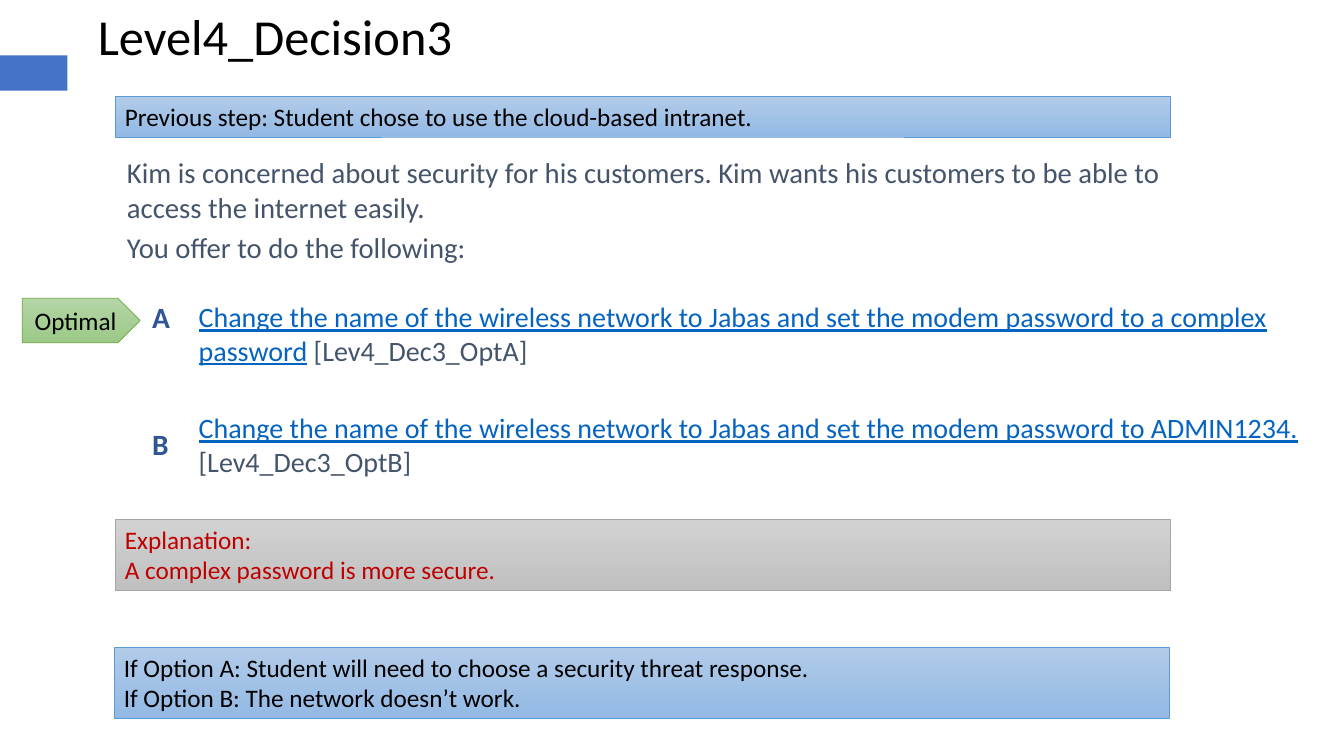
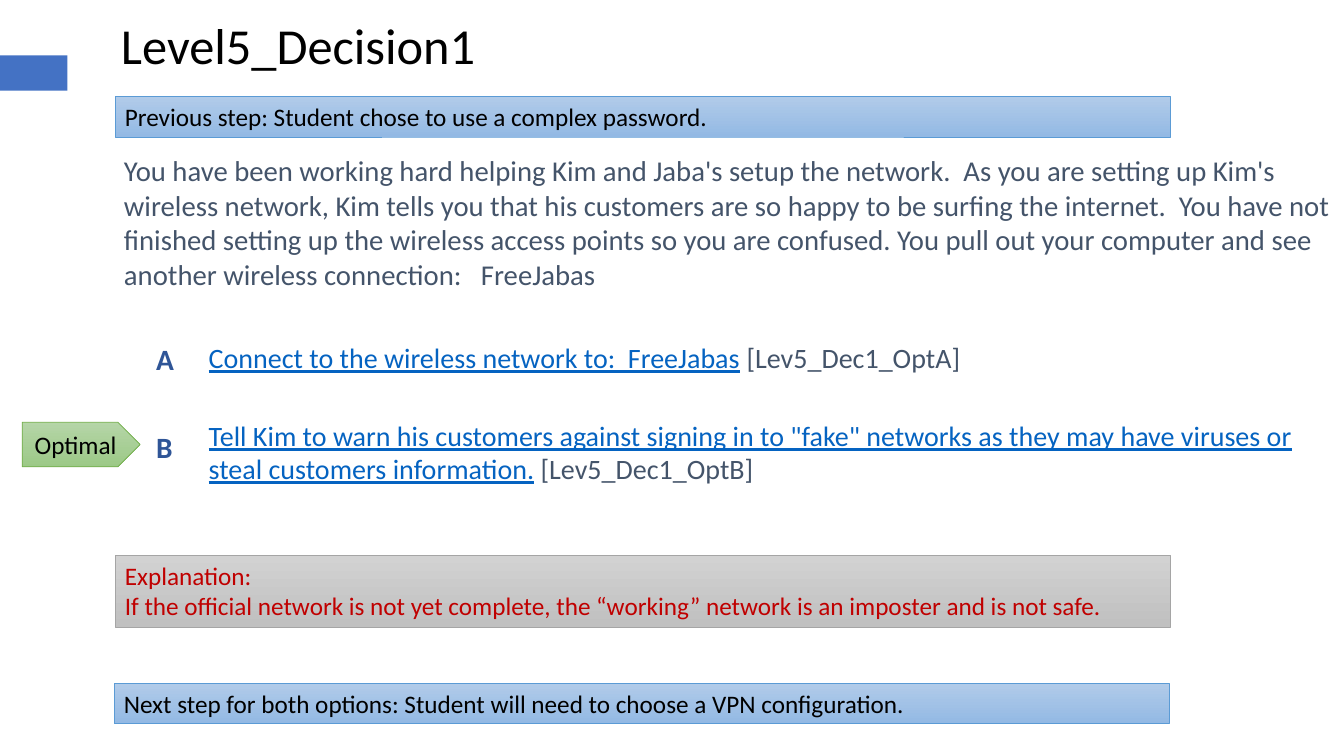
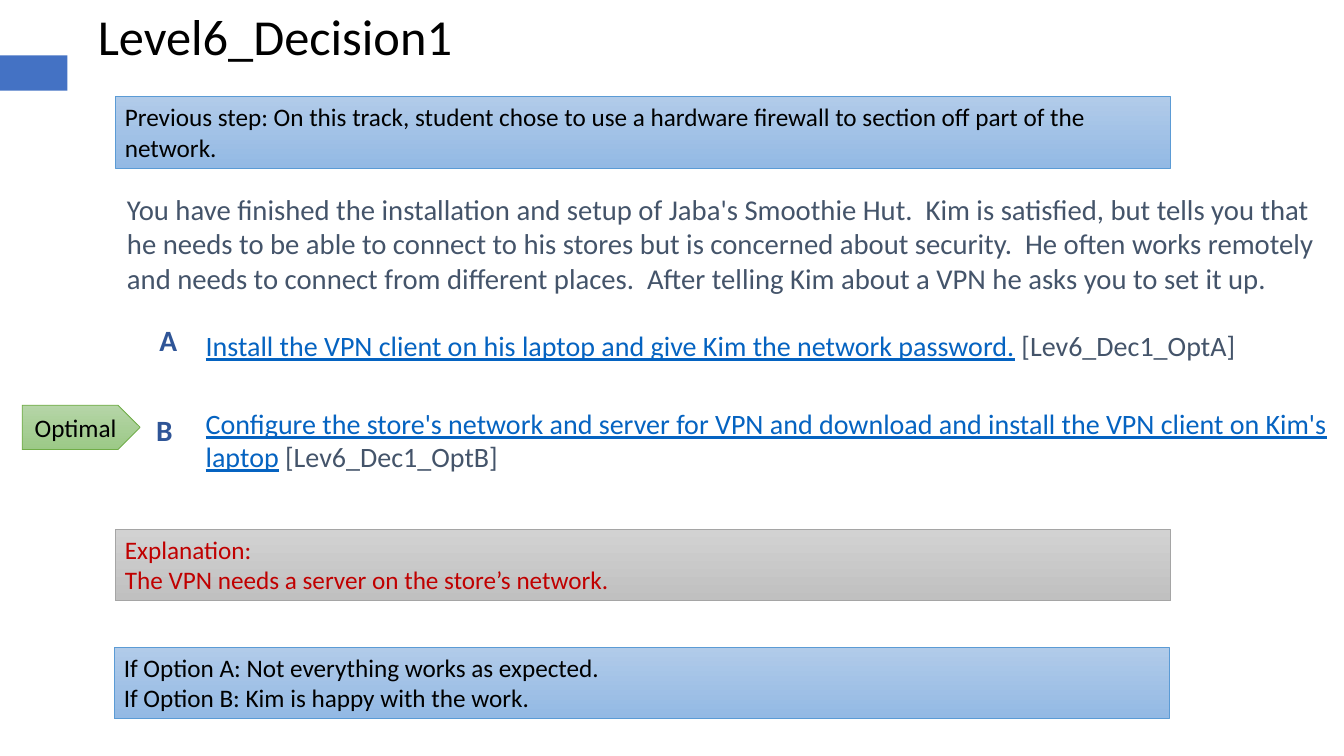
from pptx import Presentation
from pptx import util as u
from pptx.dml.color import RGBColor
from pptx.enum import shapes, text

FONT = "Calibri"
BLACK, SLATE, LINK = "000000", "44546A", "0563C1"
LETTER, RED, ACCENT = "2F5597", "C00000", "4472C4"
# Gradient top, gradient bottom, outline
BLUE_STYLE = ("B1CBE9", "93B9E4", "5B9BD5")
GRAY_STYLE = ("D2D2D2", "C0C0C0", "A5A5A5")
GREEN_STYLE = ("B5D5A7", "9CC987", "70AD47")
WIDE_INSETS = (0.13, 0.07)
BAR_INSETS = (0.1, 0.05)

decisions = [
    {
        "title": ("Level4_Decision3", 0.87, 0, 5.48),
        "previous": ("Previous step: Student chose to use the cloud-based intranet.", 0.4),
        "story": (1.13, 1.47, 10.94, 1.33),
        "story_lines": [
            "Kim is concerned about security for his customers. Kim wants his customers to be able to access the internet easily.",
            "You offer to do the following:",
        ],
        "options": (1.84, 2.9, 11.38, 2.15),
        "option_lines": [
            ("Change the name of the wireless network to Jabas and set the modem password to a complex password", " [Lev4_Dec3_OptA]"),
            ("Change the name of the wireless network to Jabas and set the modem password to ADMIN1234.", " [Lev4_Dec3_OptB]"),
        ],
        "letters": [("A", 1.38, 2.9), ("B", 1.38, 4.16)],
        "optimal_top": 2.96,
        "explanation": ("A complex password is more secure.", 5.15),
        "next_top": 6.42,
        "next_lines": [
            "If Option A: Student will need to choose a security threat response.",
            "If Option B: The network doesn’t work.",
        ],
    },
    {
        "title": ("Level5_Decision1", 1.1, 0.09, 3.8),
        "previous": ("Previous step: Student chose to use a complex password.", 0.4),
        "story": (1.1, 1.45, 12.24, 1.6),
        "story_lines": [
            "You have been working hard helping Kim and Jaba's setup the network.  As you are setting up Kim's "
            "wireless network, Kim tells you that his customers are so happy to be surfing the internet.  "
            "You have not finished setting up the wireless access points so you are confused. "
            "You pull out your computer and see another wireless connection:   FreeJabas",
        ],
        "options": (1.94, 3.31, 11.39, 2.2),
        "option_lines": [
            ("Connect to the wireless network to:  FreeJabas", " [Lev5_Dec1_OptA]"),
            ('Tell Kim to warn his customers against signing in to "fake" networks as they may have viruses or steal customers information.', " [Lev5_Dec1_OptB]"),
        ],
        "letters": [("A", 1.42, 3.31), ("B", 1.42, 4.19)],
        "optimal_top": 4.19,
        "explanation": ("If the official network is not yet complete, the “working” network is an imposter and is not safe.", 5.51),
        "next_top": 6.78,
        "next_lines": ["Next step for both options: Student will need to choose a VPN configuration."],
    },
    {
        "title": ("Level6_Decision1", 0.87, 0, 3.8),
        "previous": ("Previous step: On this track, student chose to use a hardware firewall to section off part of the network.", 0.71),
        "story": (1.13, 1.83, 12.2, 1.23),
        "story_lines": [
            "You have finished the installation and setup of Jaba's Smoothie Hut.  Kim is satisfied, but tells you "
            "that he needs to be able to connect to his stores but is concerned about security.  He often works "
            "remotely and needs to connect from different places.  After telling Kim about a VPN he asks you to set it up.",
        ],
        "options": (1.91, 3.19, 11.43, 1.79),
        "option_lines": [
            ("Install the VPN client on his laptop and give Kim the network password.", " [Lev6_Dec1_OptA]"),
            ("Configure the store's network and server for VPN and download and install the VPN client on Kim's laptop", " [Lev6_Dec1_OptB]"),
        ],
        "letters": [("A", 1.45, 3.13), ("B", 1.42, 4.02)],
        "optimal_top": 4.02,
        "explanation": ("The VPN needs a server on the store’s network.", 5.25),
        "next_top": 6.42,
        "next_lines": [
            "If Option A: Not everything works as expected.",
            "If Option B: Kim is happy with the work.",
        ],
    },
]


def write(box, paragraphs, size, insets=BAR_INSETS, gap=0, align="LEFT", anchor="TOP", bold=False):
    """Fill a box with paragraphs, each a list of (words, colour) runs; links are underlined."""
    frame = box.text_frame
    frame.word_wrap = True
    frame.auto_size = text.MSO_AUTO_SIZE.NONE
    frame.vertical_anchor = text.MSO_ANCHOR[anchor]
    frame.margin_left = frame.margin_right = u.Inches(insets[0])
    frame.margin_top = frame.margin_bottom = u.Inches(insets[1])
    for index, runs in enumerate(paragraphs):
        para = frame.add_paragraph() if index else frame.paragraphs[0]
        para.alignment = text.PP_ALIGN[align]
        para.space_before = u.Pt(gap if index else 0)
        for words, colour in runs:
            span = para.add_run()
            span.text = words
            span.font.name = FONT
            span.font.size = u.Pt(size)
            span.font.bold = bold
            span.font.underline = colour == LINK
            span.font.color.rgb = RGBColor.from_string(colour)


def add_panel(page, preset, place, style):
    """Add a shape with a top-to-bottom gradient and a thin outline."""
    panel = page.shapes.add_shape(preset, *map(u.Inches, place))
    panel.shadow.inherit = False
    panel.fill.gradient()
    panel.fill.gradient_angle = 270
    for stop, colour in zip(panel.fill.gradient_stops, style):
        stop.color.rgb = RGBColor.from_string(colour)
    panel.line.color.rgb = RGBColor.from_string(style[2])
    panel.line.width = u.Pt(0.5)
    return panel


deck = Presentation()
deck.slide_width, deck.slide_height = u.Inches(13.33), u.Inches(7.5)
title_only = deck.slide_layouts[5]
RECTANGLE = shapes.MSO_SHAPE.RECTANGLE

for number, decision in enumerate(decisions):
    page = deck.slides.add_slide(title_only)

    # Accent band, moved once to the slide master
    if number == 0:
        band = page.shapes.add_shape(RECTANGLE, 0, u.Inches(0.55), u.Inches(0.67), u.Inches(0.35))
        band.shadow.inherit = False
        band.fill.solid()
        band.fill.fore_color.rgb = RGBColor.from_string(ACCENT)
        band.line.fill.background()
        deck.slide_master.shapes.element.append(band.element)

    # Title
    name, left, top, width = decision["title"]
    title = page.shapes.title
    title.left, title.top = u.Inches(left), u.Inches(top)
    title.width, title.height = u.Inches(width), u.Inches(0.71)
    write(title, [[(name, BLACK)]], 36)

    # Story and options
    story = page.shapes.add_textbox(*map(u.Inches, decision["story"]))
    write(story, [[(line, SLATE)] for line in decision["story_lines"]], 20.5, WIDE_INSETS, gap=4)
    options = page.shapes.add_textbox(*map(u.Inches, decision["options"]))
    option_runs = [[(link, LINK), (tag, SLATE)] for link, tag in decision["option_lines"]]
    write(options, option_runs, 20, WIDE_INSETS, gap=31.5)
    for letter, left, top in decision["letters"]:
        box = page.shapes.add_textbox(*map(u.Inches, (left, top, 0.7, 0.5)))
        write(box, [[(letter, LETTER)]], 21, WIDE_INSETS, bold=True)

    # Previous step, next step and explanation bars
    previous, height = decision["previous"]
    reason, reason_top = decision["explanation"]
    next_lines = decision["next_lines"]
    bars = [
        (1.14, 0.96, height, BLUE_STYLE, BLACK, [previous]),
        (1.13, decision["next_top"], 0.4 if len(next_lines) == 1 else 0.71, BLUE_STYLE, BLACK, next_lines),
        (1.14, reason_top, 0.71, GRAY_STYLE, RED, ["Explanation:", reason]),
    ]
    for left, top, height, style, colour, lines in bars:
        bar = add_panel(page, RECTANGLE, (left, top, 10.47, height), style)
        write(bar, [[(line, colour)] for line in lines], 18)

    # Marker for the best option
    marker = add_panel(page, shapes.MSO_SHAPE.PENTAGON, (0.22, decision["optimal_top"], 1.17, 0.44), GREEN_STYLE)
    write(marker, [[("Optimal", BLACK)]], 18, align="CENTER", anchor="MIDDLE")

deck.save("out.pptx")
